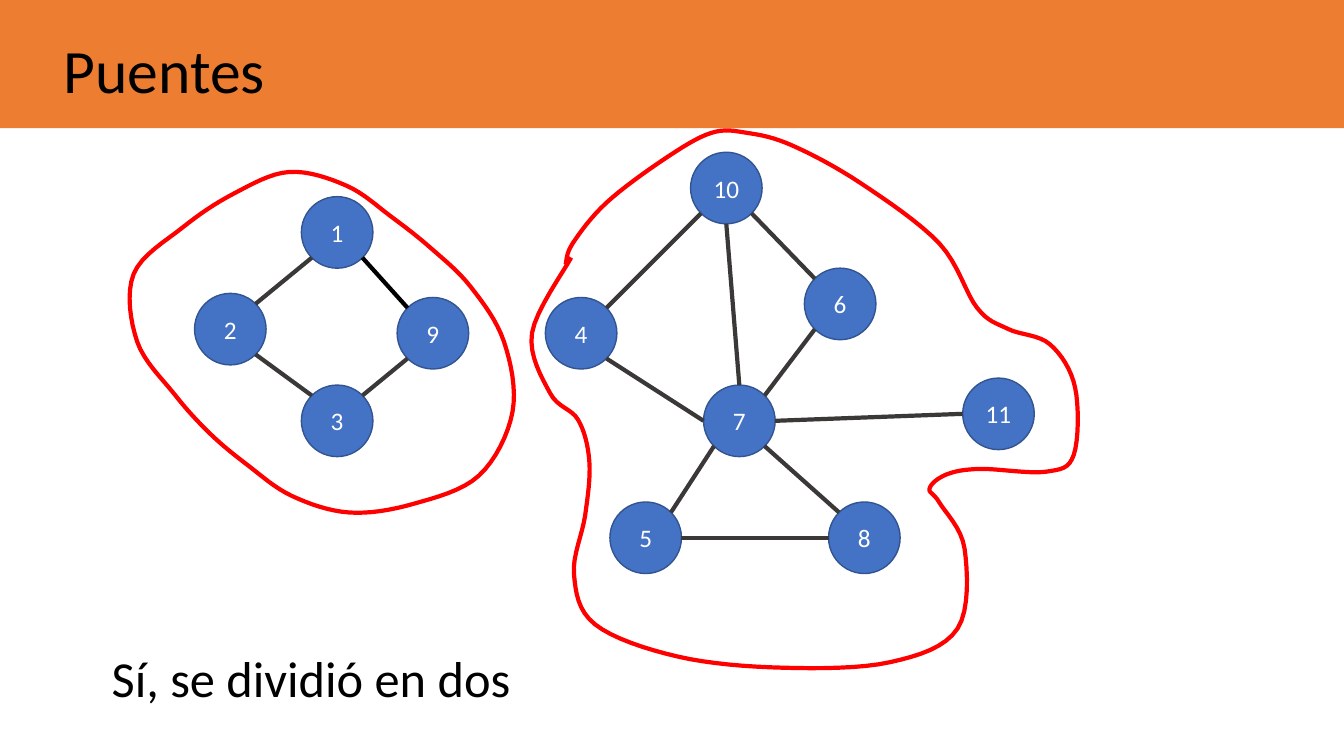
import math

from lxml import etree
from pptx import Presentation
from pptx import util as u
from pptx.dml.color import RGBColor
from pptx.enum import shapes, text
from pptx.oxml.ns import qn

Pt = u.Pt
FONT = "Calibri"
COLORS = {"bar": "ED7D31", "node": "4472C4", "node_line": "325491", "edge": "3B3838",
          "bridge": "000000", "group": "FF0000", "ink": "000000", "node_text": "FFFFFF"}

# Graph: node centres, and edges from one side of a node to a side of another
RADIUS = 25.55
DIAG = math.sqrt(0.5)
SIDES = {"N": (0, -1), "S": (0, 1), "E": (1, 0), "W": (-1, 0), "NE": (DIAG, -DIAG),
         "NW": (-DIAG, -DIAG), "SE": (DIAG, DIAG), "SW": (-DIAG, DIAG)}
NODES = {1: (240.8, 166), 2: (164.5, 235.1), 3: (240.8, 300.6), 9: (309.2, 238),
         4: (415.1, 238), 10: (518.8, 134.3), 7: (528.1, 300.6), 6: (600.1, 217.1),
         5: (461.2, 384.1), 8: (617.4, 384.1), 11: (713.2, 295.6)}
EDGES = [(2, "NE", 1, "SW"), (2, "SE", 3, "NW"), (9, "SW", 3, "NE"),
         (10, "SW", 4, "NE"), (10, "SE", 6, "NW"), (7, "NE", 6, "SW"),
         (7, "W", 4, "SE"), (7, "SW", 5, "NE"), (8, "W", 5, "E"),
         (7, "SE", 8, "NW"), (10, "S", 7, "N"), (7, "E", 11, "W")]
BRIDGE = (9, "NW", 1, "SE")

# Left group: distances from its centre at equal angles, clockwise from east
LEFT_CENTER = (228, 244)
LEFT_REACH = [132, 147, 149, 134, 124, 112, 102, 102, 110,
              130, 141, 127, 122, 123, 113, 103, 104, 115]

# Right group: waypoints of each stretch, anticlockwise from the upper left
AROUND_4 = [(408, 184), (380, 238), (393, 281), (413, 300), (421, 330)]
BELOW_5_AND_8 = [(418, 368), (410, 410), (425, 446), (484, 469), (559, 477),
                 (636, 473), (684, 449), (689, 392)]
NOTCH = [(671, 359), (664, 349), (676, 339)]
AROUND_11 = [(700, 335), (747, 337), (767, 325), (768, 277), (750, 246)]
ABOVE_6 = [(720, 235), (698, 220), (671, 174), (615, 131)]
AROUND_10 = [(566, 104), (534, 95), (508, 95), (474, 114), (433, 145), (409, 174), (404, 189)]
RIGHT_WAYPOINTS = AROUND_4 + BELOW_5_AND_8 + NOTCH + AROUND_11 + ABOVE_6 + AROUND_10


def rgb(name):
    return RGBColor.from_string(COLORS[name])


def set_line(s, color, width):
    s.line.color.rgb = rgb(color)
    s.line.width = Pt(width)


def set_fill(s, color):
    s.fill.solid()
    s.fill.fore_color.rgb = rgb(color)


def write(s, words, size, color, align=text.PP_ALIGN.LEFT):
    p = s.text_frame.paragraphs[0]
    p.text = words
    p.alignment = align
    p.font.name = FONT
    p.font.size = Pt(size)
    p.font.color.rgb = rgb(color)


def add_bar(slide):
    """Draw the title band at the back of the slide."""
    s = slide.shapes.add_shape(shapes.MSO_SHAPE.RECTANGLE, Pt(-5), 0, Pt(983), Pt(91.5))
    s.shadow.inherit = False
    set_fill(s, "bar")
    s.line.fill.background()
    slide.shapes._spTree.insert(2, s._element)


def add_title(slide, words):
    s = slide.shapes.title
    s.left, s.top, s.width, s.height = Pt(38.2), Pt(19.4), Pt(160), Pt(60.5)
    s.text_frame.word_wrap = False
    s.text_frame.vertical_anchor = text.MSO_ANCHOR.TOP
    write(s, words, 44, "ink")


def add_caption(slide, words):
    s = slide.shapes.add_textbox(Pt(72.7), Pt(458.6), Pt(302.4), Pt(51))
    s.text_frame.word_wrap = False
    write(s, words, 36, "ink")


def add_node(slide, number):
    x, y = NODES[number]
    s = slide.shapes.add_shape(shapes.MSO_SHAPE.OVAL, Pt(x - RADIUS), Pt(y - RADIUS),
                               Pt(2 * RADIUS), Pt(2 * RADIUS))
    s.shadow.inherit = False
    set_fill(s, "node")
    set_line(s, "node_line", 1)
    s.text_frame.vertical_anchor = text.MSO_ANCHOR.MIDDLE
    write(s, str(number), 18, "node_text", text.PP_ALIGN.CENTER)


def rim_point(number, side):
    return [Pt(c + RADIUS * d) for c, d in zip(NODES[number], SIDES[side])]


def add_edge(slide, start, start_side, end, end_side, color="edge"):
    s = slide.shapes.add_connector(shapes.MSO_CONNECTOR.STRAIGHT,
                                   *rim_point(start, start_side), *rim_point(end, end_side))
    set_line(s, color, 3)
    etree.SubElement(s._element.spPr, qn("a:effectLst"))


def ring(center, reaches):
    """Place one point per reach around the centre, at equal angles."""
    x, y = center
    step = math.tau / len(reaches)
    return [(x + reach * math.cos(i * step), y + reach * math.sin(i * step))
            for i, reach in enumerate(reaches)]


def spline(before, start, end, after, t):
    """Return one Catmull-Rom coordinate, at t from 0 (start) to 1 (end)."""
    return 0.5 * (2 * start + (end - before) * t
                  + (2 * before - 5 * start + 4 * end - after) * t ** 2
                  + (3 * start - before - 3 * end + after) * t ** 3)


def smooth(points, closed, steps=8):
    """Return a dense curve through the points."""
    if closed:
        padded = [points[-1], *points, *points[:2]]
    else:
        padded = [points[0], *points, points[-1]]
    curve = [padded[1]]
    for quad in zip(padded, padded[1:], padded[2:], padded[3:]):
        for i in range(1, steps + 1):
            curve.append(tuple(spline(*values, i / steps) for values in zip(*quad)))
    return curve


def add_group_outline(slide, points, closed):
    start, *rest = [(Pt(x), Pt(y)) for x, y in smooth(points, closed)]
    builder = slide.shapes.build_freeform(*start)
    builder.add_line_segments(rest, close=closed)
    s = builder.convert_to_shape()
    s.shadow.inherit = False
    s.fill.background()
    set_line(s, "group", 3)


def main():
    prs = Presentation()
    prs.slide_width, prs.slide_height = Pt(960), Pt(540)
    slide = prs.slides.add_slide(prs.slide_layouts[5])
    add_bar(slide)
    add_title(slide, "Puentes")
    for number in NODES:
        add_node(slide, number)
    for edge in EDGES:
        add_edge(slide, *edge)
    add_edge(slide, *BRIDGE, color="bridge")
    add_group_outline(slide, ring(LEFT_CENTER, LEFT_REACH), closed=True)
    add_group_outline(slide, RIGHT_WAYPOINTS, closed=False)
    add_caption(slide, "Sí, se dividió en dos")
    prs.save("out.pptx")


if __name__ == "__main__":
    main()
